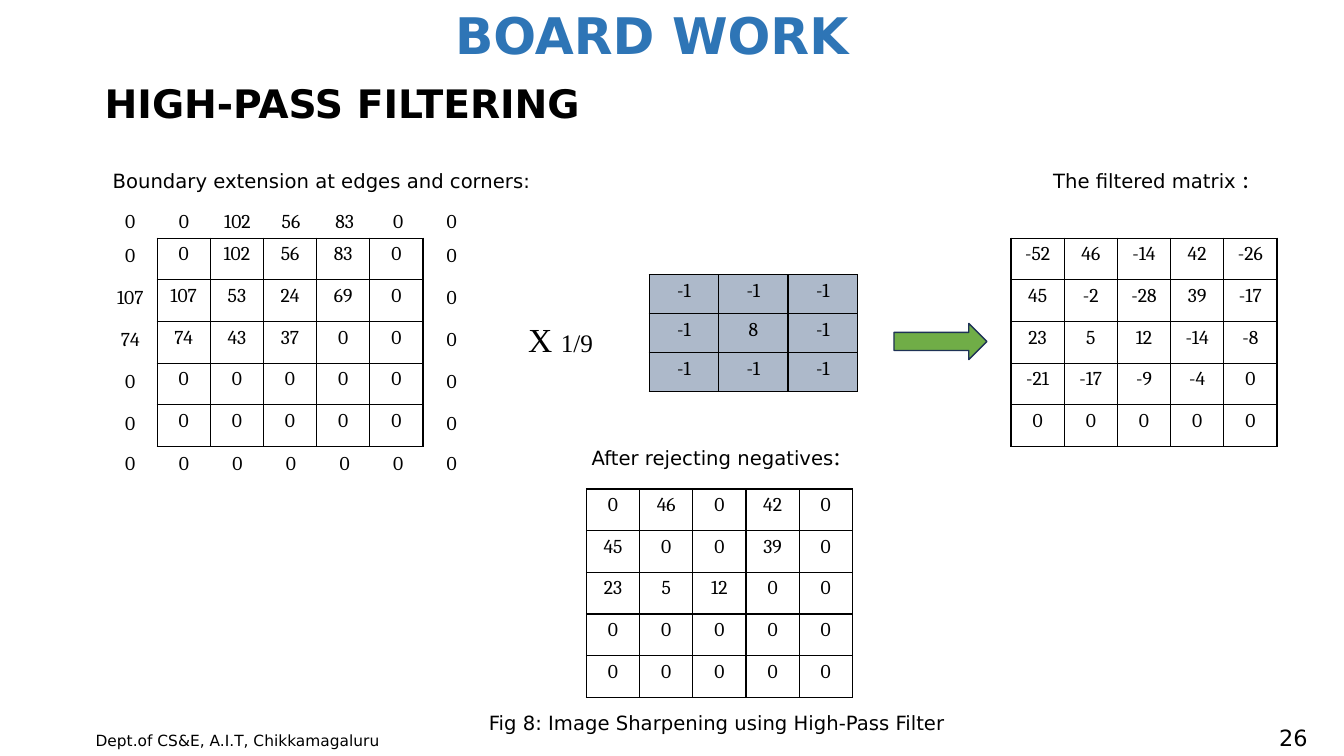
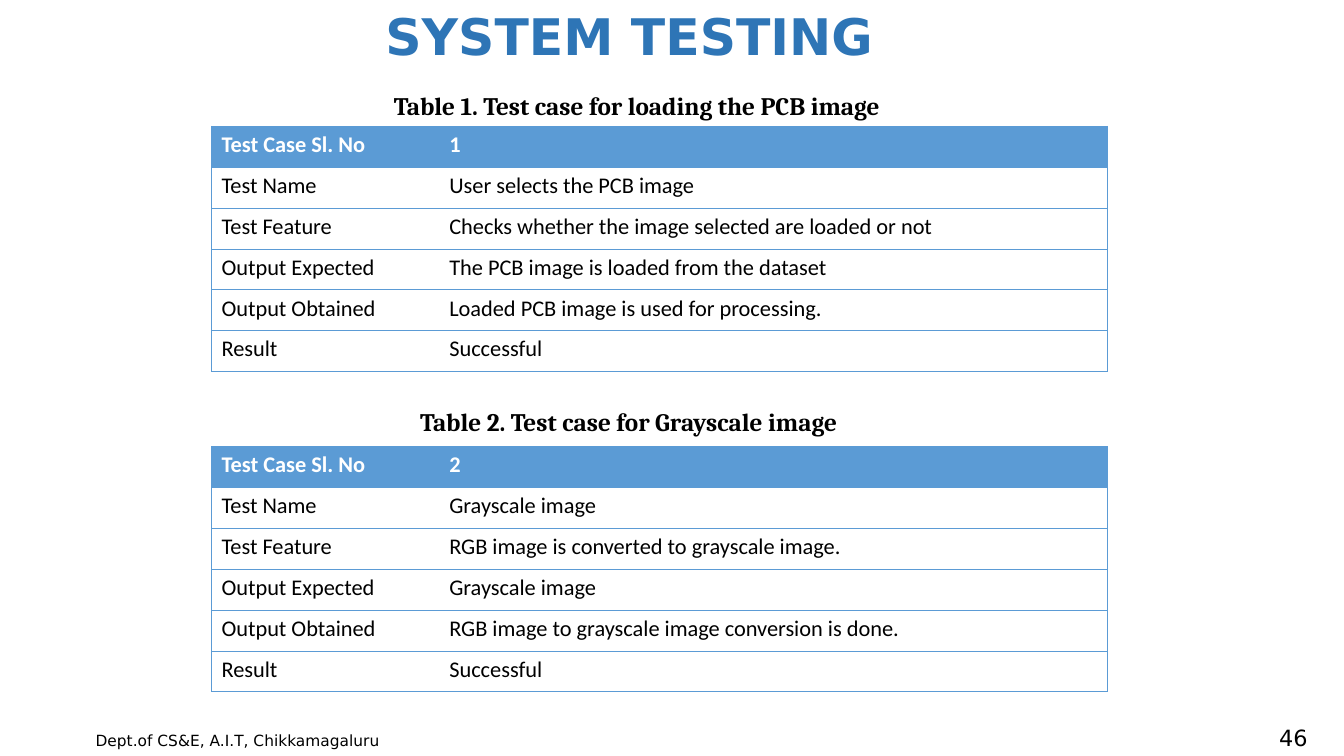
"""Build the board work and system testing slides."""
from dataclasses import dataclass
from typing import Optional

import pptx
import pptx.dml.color
import pptx.enum.shapes
import pptx.enum.text
import pptx.oxml
import pptx.oxml.ns
import pptx.util
from pptx.util import Cm

COLORS = {
    "title": "2E75B6",
    "text": "000000",
    "paper": "FFFFFF",
    "kernel": "ADB9CA",
    "case": "5B9BD5",
    "arrow": "70AD47",
    "arrow_edge": "1E3256",
}
SANS, SERIF, BODY, ROMAN = "DejaVu Sans", "Cambria", "Calibri", "Times New Roman"
ALIGN = pptx.enum.text.PP_ALIGN
ANCHOR = pptx.enum.text.MSO_ANCHOR


@dataclass(frozen=True)
class Box:
    left: float
    top: float
    width: float
    height: float

    def lengths(self) -> tuple:
        return Cm(self.left), Cm(self.top), Cm(self.width), Cm(self.height)


@dataclass(frozen=True)
class Matrix:
    left: float
    top: float
    values: tuple
    cell_width: float = 1.34
    cell_height: float = 1.05
    fill: str = "paper"


@dataclass(frozen=True)
class TestCase:
    caption: str
    caption_box: Box
    top: float
    answers: tuple


IMAGE = Matrix(3.96, 6.0, (
    (0, 102, 56, 83, 0),
    (107, 53, 24, 69, 0),
    (74, 43, 37, 0, 0),
    (0, 0, 0, 0, 0),
    (0, 0, 0, 0, 0),
))
KERNEL = Matrix(16.36, 6.92, ((-1, -1, -1), (-1, 8, -1), (-1, -1, -1)), 1.75, 0.98, "kernel")
FILTERED = Matrix(25.48, 6.0, (
    (-52, 46, -14, 42, -26),
    (45, -2, -28, 39, -17),
    (23, 5, 12, -14, -8),
    (-21, -17, -9, -4, 0),
    (0, 0, 0, 0, 0),
))
NON_NEGATIVE = Matrix(
    14.78, 12.32,
    tuple(tuple(max(value, 0) for value in row) for row in FILTERED.values),
)

CASE_FIELDS = ("Test Case Sl. No", "Test Name", "Test Feature",
               "Output Expected", "Output Obtained", "Result")
TEST_CASES = (
    TestCase("Table 1. Test case for loading the PCB image", Box(9.68, 2.16, 13.36, 1.02), 3.18, (
        "1",
        "User selects the PCB image",
        "Checks whether the image selected are loaded or not",
        "The PCB image is loaded from the dataset",
        "Loaded PCB image is used for processing.",
        "Successful",
    )),
    TestCase("Table 2. Test case for Grayscale image", Box(10.34, 10.11, 11.46, 1.02), 11.25, (
        "2",
        "Grayscale image",
        "RGB image is converted to grayscale image.",
        "Grayscale image",
        "RGB image to grayscale image conversion is done.",
        "Successful",
    )),
)


def rgb(name: str) -> pptx.dml.color.RGBColor:
    return pptx.dml.color.RGBColor.from_string(COLORS[name])


def write(frame, text: str, *, size: float = 14, font: str = SANS, color: str = "text",
          bold: bool = False, align: ALIGN = ALIGN.LEFT, spacing: float = 1.0) -> None:
    paragraph = frame.paragraphs[0]
    paragraph.alignment = align
    paragraph.line_spacing = spacing
    run = paragraph.add_run()
    run.text = text
    run.font.size = pptx.util.Pt(size)
    run.font.name = font
    run.font.bold = bold
    run.font.color.rgb = rgb(color)


def add_label(slide, box: Box, text: str, *, anchor: ANCHOR = ANCHOR.TOP, **text_format):
    frame = slide.shapes.add_textbox(*box.lengths()).text_frame
    frame.word_wrap = True
    frame.vertical_anchor = anchor
    write(frame, text, **text_format)
    return frame


def add_page(deck, title: str, title_box: Box, number: int, spacing: float = 1.0):
    slide = deck.slides.add_slide(deck.slide_layouts[5])
    heading = slide.shapes.title
    heading.left, heading.top, heading.width, heading.height = title_box.lengths()
    heading.text_frame.word_wrap = True
    heading.text_frame.vertical_anchor = ANCHOR.MIDDLE
    write(heading.text_frame, title, size=36, color="title", bold=True,
          align=ALIGN.CENTER, spacing=spacing)
    add_label(slide, Box(2.16, 18.31, 7.98, 0.74), "Dept.of CS&E, A.I.T, Chikkamagaluru", size=11)
    add_label(slide, Box(31.93, 18.19, 1.27, 0.81), str(number), size=16,
              align=ALIGN.RIGHT, anchor=ANCHOR.MIDDLE)
    return slide


def set_borders(cell, color: str, width: float, sides: str) -> None:
    properties = cell._tc.get_or_add_tcPr()
    for position, side in enumerate("LRTB"):
        paint = (f'<a:solidFill><a:srgbClr val="{COLORS[color]}"/></a:solidFill>'
                 if side in sides else "<a:noFill/>")
        properties.insert(position, pptx.oxml.parse_xml(
            f'<a:ln{side} {pptx.oxml.ns.nsdecls("a")} w="{pptx.util.Pt(width)}">{paint}</a:ln{side}>'
        ))


def add_grid(slide, left: float, top: float, widths: tuple, row_height: float, row_count: int):
    box = Box(left, top, sum(widths), row_height * row_count)
    grid = slide.shapes.add_table(row_count, len(widths), *box.lengths()).table
    grid.first_row = grid.horz_banding = False
    for column, width in zip(grid.columns, widths):
        column.width = Cm(width)
    for row in grid.rows:
        row.height = Cm(row_height)
    return grid


def add_matrix(slide, matrix: Matrix) -> None:
    widths = (matrix.cell_width,) * len(matrix.values[0])
    grid = add_grid(slide, matrix.left, matrix.top, widths, matrix.cell_height, len(matrix.values))
    for r, row in enumerate(matrix.values):
        for c, value in enumerate(row):
            cell = grid.cell(r, c)
            cell.margin_left = cell.margin_right = Cm(0.17)
            cell.fill.solid()
            cell.fill.fore_color.rgb = rgb(matrix.fill)
            set_borders(cell, "text", 1, "LRTB")
            write(cell.text_frame, str(value), font=SERIF, align=ALIGN.CENTER)


def add_boundary(slide, matrix: Matrix) -> None:
    last = len(matrix.values) - 1
    tops = [5.13, *(6.0 + 1.06 * row for row in range(last + 1)), 11.23]
    for r, top in enumerate(tops):
        for c in range(last + 3):
            if {r, c} & {0, last + 2}:
                nearest_row, nearest_column = (min(max(i - 1, 0), last) for i in (r, c))
                add_label(slide, Box(2.6 + 1.35 * c, top, 1.37, 0.86),
                          str(matrix.values[nearest_row][nearest_column]),
                          font=SERIF, align=ALIGN.CENTER)


def add_test_case(slide, case: TestCase) -> None:
    add_label(slide, case.caption_box, case.caption, size=18, font=SERIF, bold=True)
    grid = add_grid(slide, 5.33, case.top, (5.74, 16.84), 1.03, len(CASE_FIELDS))
    for r, row in enumerate(zip(CASE_FIELDS, case.answers)):
        for c, text in enumerate(row):
            cell = grid.cell(r, c)
            if r == 0:
                cell.fill.solid()
                cell.fill.fore_color.rgb = rgb("case")
            else:
                cell.fill.background()
            set_borders(cell, "case", 0.5, "TB" + "LR"[c])
            write(cell.text_frame, text, size=16, font=BODY, bold=r == 0,
                  color="paper" if r == 0 else "text")


def add_colon_label(slide, box: Box, text: str, colon_font: Optional[str]) -> None:
    write(add_label(slide, box, text), ":", size=18, font=colon_font)


def build_board_work(deck) -> None:
    slide = add_page(deck, "BOARD WORK", Box(2.67, -1.09, 27.51, 4.11), 26, spacing=0.9)
    add_label(slide, Box(2.39, 1.88, 16.97, 1.45), "HIGH-PASS FILTERING", size=28, bold=True)
    add_label(slide, Box(2.59, 4.14, 11.25, 0.86), "Boundary extension at edges and corners:")
    add_colon_label(slide, Box(26.29, 3.99, 5.89, 1.02), "The filtered matrix ", BODY)
    add_colon_label(slide, Box(14.66, 10.97, 9.04, 1.02), "After rejecting negatives", ROMAN)
    add_label(slide, Box(12.07, 17.7, 15.49, 0.86),
              "Fig 8: Image Sharpening using High-Pass Filter", spacing=1.15)
    factor = add_label(slide, Box(13.06, 7.92, 2.87, 1.27), "X ", size=24, font=ROMAN)
    write(factor, "1/9", size=18, font=ROMAN)
    for matrix in (IMAGE, KERNEL, FILTERED, NON_NEGATIVE):
        add_matrix(slide, matrix)
    add_boundary(slide, IMAGE)
    arrow = slide.shapes.add_shape(pptx.enum.shapes.MSO_SHAPE.RIGHT_ARROW,
                                   *Box(22.53, 8.15, 2.34, 0.91).lengths())
    arrow.shadow.inherit = False
    arrow.fill.solid()
    arrow.fill.fore_color.rgb = rgb("arrow")
    arrow.line.color.rgb = rgb("arrow_edge")
    arrow.line.width = pptx.util.Pt(1)


def build_system_testing(deck) -> None:
    slide = add_page(deck, "SYSTEM TESTING", Box(7.37, 0, 16.97, 1.8), 46)
    for case in TEST_CASES:
        add_test_case(slide, case)


def main() -> None:
    deck = pptx.Presentation()
    deck.slide_width, deck.slide_height = Cm(33.87), Cm(19.05)
    build_board_work(deck)
    build_system_testing(deck)
    deck.save("out.pptx")


if __name__ == "__main__":
    main()
